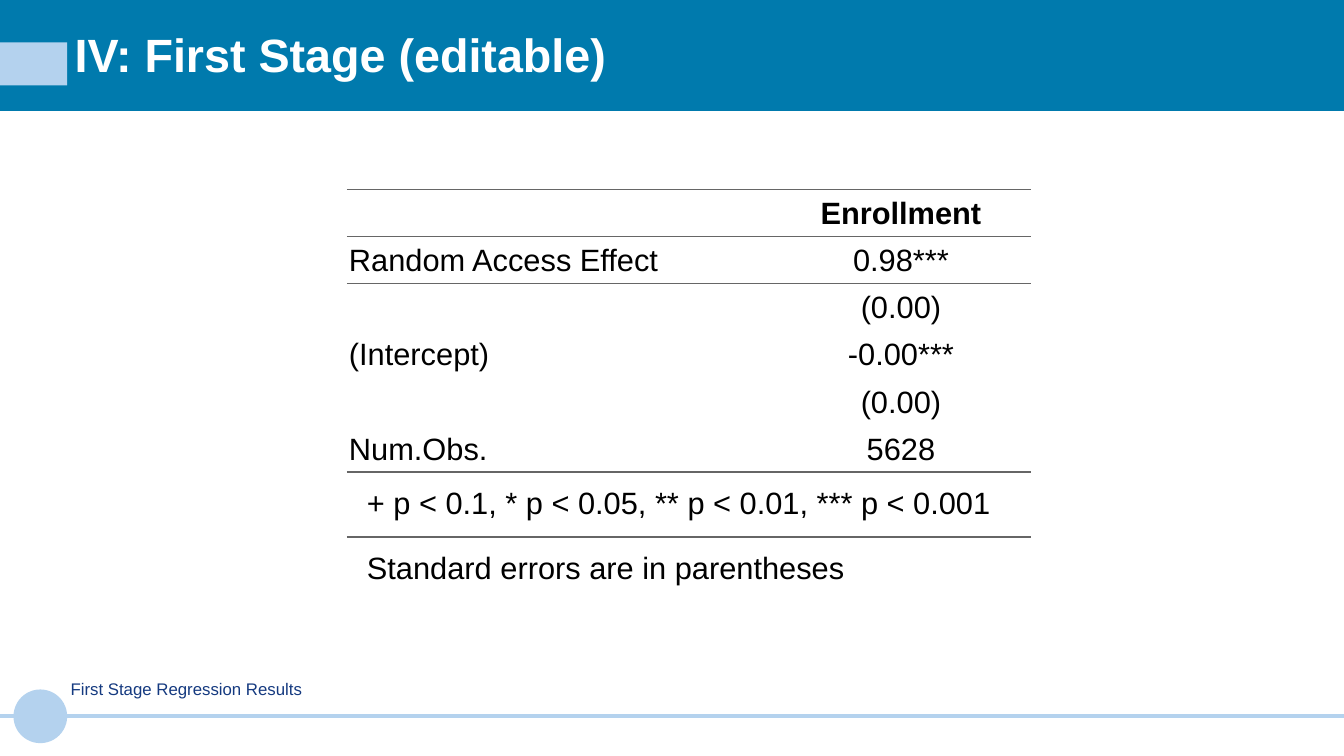
"""Build the first-stage regression slide."""
from lxml import etree
from pptx import Presentation
from pptx.dml.color import RGBColor
from pptx.enum.shapes import MSO_CONNECTOR, MSO_SHAPE
from pptx.enum.text import MSO_ANCHOR, PP_ALIGN
from pptx.oxml import parse_xml
from pptx.oxml.ns import nsdecls, qn
from pptx.util import Cm, Pt

RECT, OVAL = MSO_SHAPE.RECTANGLE, MSO_SHAPE.OVAL
STRAIGHT = MSO_CONNECTOR.STRAIGHT
TOP, MIDDLE = MSO_ANCHOR.TOP, MSO_ANCHOR.MIDDLE
LEFT, CENTER = PP_ALIGN.LEFT, PP_ALIGN.CENTER

TITLE = "IV: First Stage (editable)"
CAPTION = "First Stage Regression Results"
RESULTS = [
    ("", "Enrollment"),
    ("Random Access Effect", "0.98***"),
    ("", "(0.00)"),
    ("(Intercept)", "-0.00***"),
    ("", "(0.00)"),
    ("Num.Obs.", "5628"),
]
NOTES = [
    "+ p < 0.1, * p < 0.05, ** p < 0.01, *** p < 0.001",
    "Standard errors are in parentheses",
]

THEME = {
    "font": "Arial",
    "bar": "007AAD", "accent": "B4D2EE", "rule": "666666",
    "title": {"size": 50, "color": "FFFFFF", "bold": True},
    "caption": {"size": 18, "color": "153A80", "bold": False},
    "head": {"size": 33, "color": "000000", "bold": True},
    "body": {"size": 33, "color": "000000", "bold": False},
}

WIDTH, HEIGHT = 50.8, 28.58
TEXT_LEFT, TEXT_WIDTH = 2.57, 46.89
LINE_Y, DOT = 27.08, 2.03
SHAPES = [
    (RECT, "bar", (0, 0, WIDTH, 4.19)),
    (RECT, "accent", (0, 1.6, 2.54, 1.63)),
    (OVAL, "accent", (0.51, LINE_Y - DOT / 2, DOT, DOT)),
]
TABLE_LEFT, TABLE_TOP = 13.11, 7.16
COLUMNS = [16.03, 9.83]
RESULT_ROW, NOTE_ROW = 1.78, 2.46
RESULT_FRAME = {"margin_left": Cm(0.08), "margin_right": Cm(0.08),
                "margin_top": Cm(0.08), "margin_bottom": 0,
                "vertical_anchor": MIDDLE}
NOTE_FRAME = {"margin_left": Cm(0.76), "margin_right": Cm(0.76),
              "margin_top": Cm(0.56), "margin_bottom": Cm(0.38),
              "vertical_anchor": TOP}
PLAIN_STYLE = "{2D5ABB26-0587-4C30-8999-92F81FD0307C}"


def apply(obj, values):
    for name, value in values.items():
        setattr(obj, name, value)


def write(tf, text, style, **paragraph):
    fmt = THEME[style]
    p = tf.paragraphs[0]
    apply(p, paragraph)
    target = p
    if text:
        target = p.add_run()
        target.text = text
    apply(target.font, {"name": THEME["font"], "size": Pt(fmt["size"]),
                        "bold": fmt["bold"]})
    target.font.color.rgb = RGBColor.from_string(fmt["color"])


def add_text(s, box, text, style, frame, **paragraph):
    tf = s.shapes.add_textbox(*map(Cm, box)).text_frame
    apply(tf, {"word_wrap": True, **frame})
    write(tf, text, style, **paragraph)


def add_frame(s):
    for kind, color, box in SHAPES:
        sp = s.shapes.add_shape(kind, *map(Cm, box))
        sp.shadow.inherit = False
        sp.fill.solid()
        sp.fill.fore_color.rgb = RGBColor.from_string(THEME[color])
        sp.line.fill.background()
    line = s.shapes.add_connector(STRAIGHT, 0, Cm(LINE_Y), Cm(WIDTH), Cm(LINE_Y))
    line.line.width = Pt(4.5)
    line.line.color.rgb = RGBColor.from_string(THEME["accent"])
    etree.SubElement(line._element.spPr, qn("a:effectLst"))


def format_cell(cell, frame, sides):
    apply(cell, frame)
    cell.fill.background()
    for i, side in enumerate(sides):
        cell._tc.get_or_add_tcPr().insert(i, parse_xml(
            f'<a:ln{side} {nsdecls("a")} w="{Pt(1.5)}"><a:solidFill>'
            f'<a:srgbClr val="{THEME["rule"]}"/></a:solidFill></a:ln{side}>'))


def add_results(s):
    heights = [RESULT_ROW] * len(RESULTS) + [NOTE_ROW] * len(NOTES)
    table = s.shapes.add_table(
        len(heights), len(COLUMNS), Cm(TABLE_LEFT), Cm(TABLE_TOP),
        Cm(sum(COLUMNS)), Cm(sum(heights))).table
    apply(table, {"first_row": False, "horz_banding": False})
    table._tbl.tblPr.find(qn("a:tableStyleId")).text = PLAIN_STYLE
    for column, width in zip(table.columns, COLUMNS):
        column.width = Cm(width)
    for row, height in zip(table.rows, heights):
        row.height = Cm(height)

    last = len(RESULTS) - 1
    rules = {0: "TB", 1: "T", last: "B", last + 1: "T"}
    for r, values in enumerate(RESULTS):
        for c, text in enumerate(values):
            cell = table.cell(r, c)
            format_cell(cell, RESULT_FRAME, rules.get(r, ""))
            write(cell.text_frame, text, "body" if r else "head",
                  alignment=CENTER if c else LEFT)
    for r, text in enumerate(NOTES, len(RESULTS)):
        for c in range(len(COLUMNS)):
            format_cell(table.cell(r, c), NOTE_FRAME, rules.get(r, ""))
        cell = table.cell(r, 0)
        cell.merge(table.cell(r, len(COLUMNS) - 1))
        write(cell.text_frame, text, "body", alignment=LEFT)


def main():
    prs = Presentation()
    apply(prs, {"slide_width": Cm(WIDTH), "slide_height": Cm(HEIGHT)})
    s = prs.slides.add_slide(prs.slide_layouts[6])
    add_frame(s)
    add_text(s, (TEXT_LEFT, 1.07, TEXT_WIDTH, 2.18), TITLE, "title",
             {"vertical_anchor": MIDDLE}, line_spacing=0.9)
    add_text(s, (TEXT_LEFT, 25.53, TEXT_WIDTH, 1.45), CAPTION, "caption",
             {"vertical_anchor": TOP, "margin_left": Cm(0.1),
              "margin_right": Cm(0.1)})
    add_results(s)
    prs.save("out.pptx")


if __name__ == "__main__":
    main()
